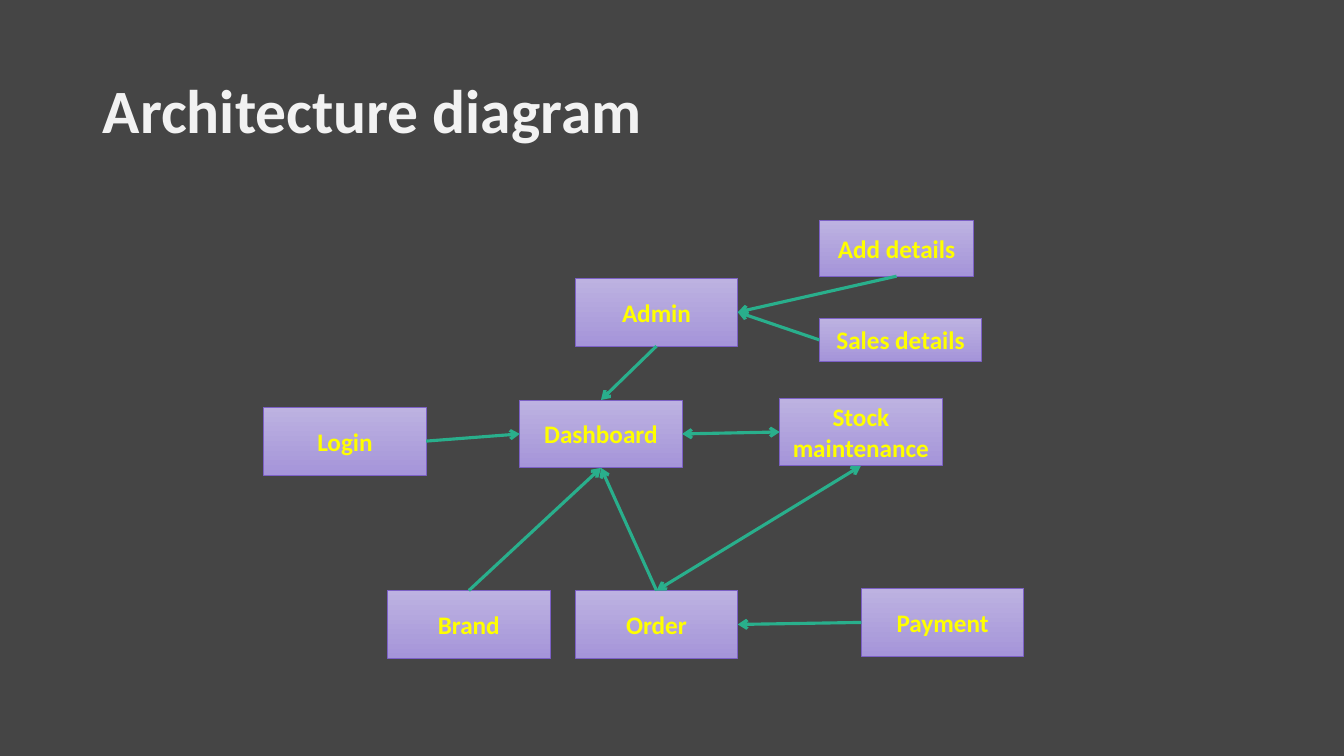
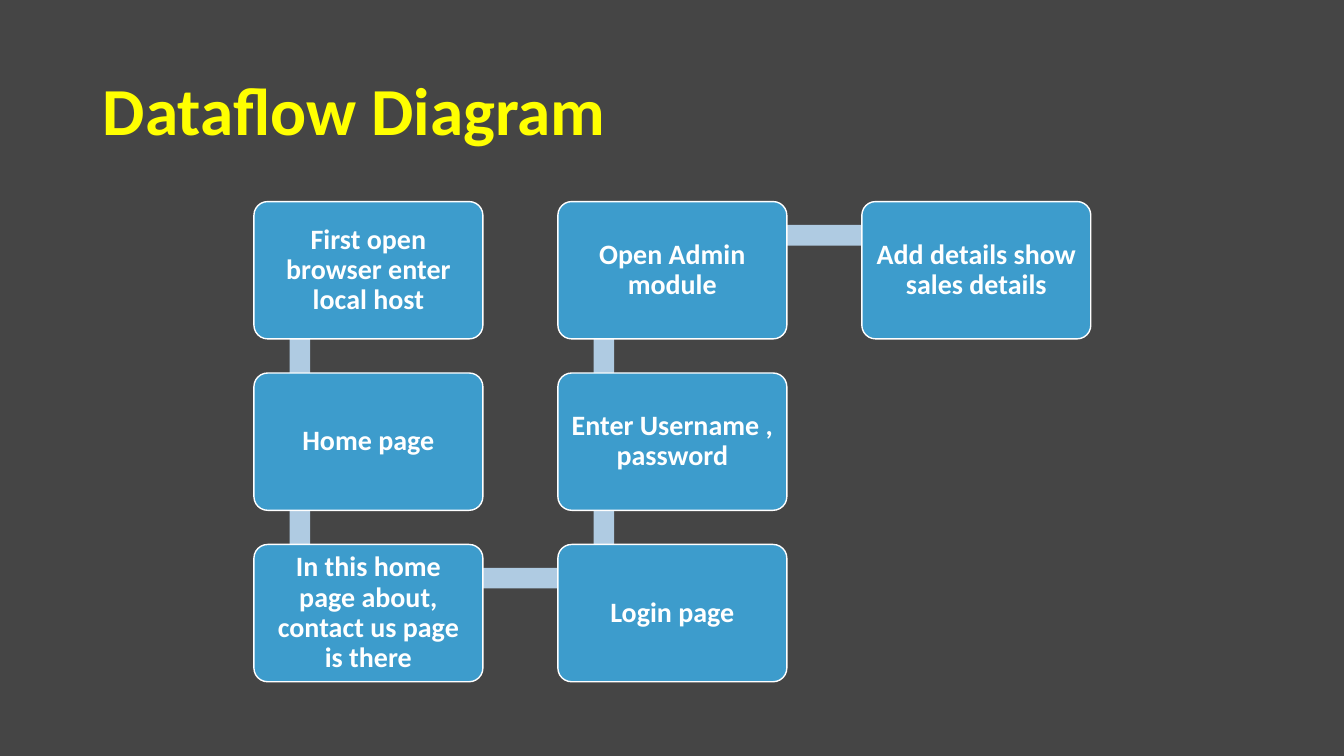
import itertools

import lxml.etree
import pptx
import pptx.dml.color
import pptx.enum.dml
import pptx.enum.shapes
import pptx.enum.text
import pptx.oxml.ns
import pptx.util

Cm = pptx.util.Cm
Pt = pptx.util.Pt
qn = pptx.oxml.ns.qn
PRESET = pptx.enum.shapes.MSO_SHAPE
ALIGN = pptx.enum.text.PP_ALIGN

FONT = "Calibri"
BACKGROUND = "454545"
YELLOW = "FFFF00"
WHITE = "FFFFFF"
OFF_WHITE = "F2F2F2"
MODULE_TOP, MODULE_BOTTOM, MODULE_EDGE = "BDB2E1", "A595D9", "7C60C6"
LINK = "29AF8C"
STEP, BAR = "3D9CCC", "AFCBE2"

TITLE_BOX = (2.34, 1.02, 29.21, 3.68)
ARCHITECTURE_BOX = (6.65, 5.56)
DATAFLOW_BOX = (6.4, 5.08)

TOP, LEFT, BOTTOM, RIGHT = range(4)
MODULE_SIZE = (4.09, 1.71)
MODULES = {
    "Login": (0, 4.7, *MODULE_SIZE),
    "Dashboard": (6.45, 4.52, *MODULE_SIZE),
    "Stock maintenance": (13, 4.47, *MODULE_SIZE),
    "Order": (7.85, 9.32, *MODULE_SIZE),
    "Payment": (15.06, 9.27, *MODULE_SIZE),
    "Brand": (3.12, 9.32, *MODULE_SIZE),
    "Admin": (7.85, 1.45, *MODULE_SIZE),
    "Add details": (14, 0, 3.89, 1.4),
    "Sales details": (14, 2.46, 4.09, 1.09),
}
ONE_WAY, BOTH_WAYS = ("tailEnd",), ("headEnd", "tailEnd")
LINKS = [
    ("Login", RIGHT, "Dashboard", LEFT, ONE_WAY),
    ("Order", TOP, "Dashboard", BOTTOM, ONE_WAY),
    ("Payment", LEFT, "Order", RIGHT, ONE_WAY),
    ("Order", TOP, "Stock maintenance", BOTTOM, BOTH_WAYS),
    ("Brand", TOP, "Dashboard", BOTTOM, ONE_WAY),
    ("Admin", BOTTOM, "Dashboard", TOP, ONE_WAY),
    ("Add details", BOTTOM, "Admin", RIGHT, ONE_WAY),
    ("Sales details", LEFT, "Admin", RIGHT, ONE_WAY),
    ("Dashboard", RIGHT, "Stock maintenance", LEFT, BOTH_WAYS),
]

STEP_SIZE = (5.77, 3.46)
STEP_PITCH = (7.66, 4.32)
BAR_ANCHOR = (1.16, 0.85)
BAR_WIDTH = 0.52
STEPS = [
    ("First open browser enter local host", 0, 0),
    ("Home page", 0, 1),
    ("In this home page about, contact us page is there", 0, 2),
    ("Login page", 1, 2),
    ("Enter Username , password", 1, 1),
    ("Open Admin module", 1, 0),
    ("Add details show sales details", 2, 0),
]


def rgb(value):
    return pptx.dml.color.RGBColor.from_string(value)


def write(shape, text, size, color, align=ALIGN.CENTER, inset=None, spacing=None):
    frame = shape.text_frame
    frame.word_wrap = True
    frame.auto_size = pptx.enum.text.MSO_AUTO_SIZE.NONE
    frame.vertical_anchor = pptx.enum.text.MSO_ANCHOR.MIDDLE
    if inset is not None:
        frame.margin_left = frame.margin_right = Cm(inset)
        frame.margin_top = frame.margin_bottom = Cm(inset)
    paragraph = frame.paragraphs[0]
    paragraph.alignment = align
    paragraph.line_spacing = spacing
    run = paragraph.add_run()
    run.text = text
    run.font.name = FONT
    run.font.size = Pt(size)
    run.font.bold = True
    run.font.color.rgb = rgb(color)


def add_box(slide, preset, left, top, width, height, fill=None, edge=None, weight=1):
    box = slide.shapes.add_shape(preset, Cm(left), Cm(top), Cm(width), Cm(height))
    box.shadow.inherit = False
    if fill:
        box.fill.solid()
        box.fill.fore_color.rgb = rgb(fill)
    if edge:
        box.line.color.rgb = rgb(edge)
        box.line.width = Pt(weight)
    else:
        box.line.fill.background()
    return box


def add_titled_slide(deck, text, size, color):
    slide = deck.slides.add_slide(deck.slide_layouts[5])
    title = slide.shapes.title
    title.left, title.top, title.width, title.height = map(Cm, TITLE_BOX)
    write(title, text, size, color, align=ALIGN.LEFT, spacing=0.9)
    return slide


def add_module(slide, text, left, top, width, height):
    module = add_box(slide, PRESET.RECTANGLE, left, top, width, height,
                     edge=MODULE_EDGE, weight=0.5)
    module.fill.gradient()
    module.fill.gradient_angle = 270
    for stop, color in zip(module.fill.gradient_stops, (MODULE_TOP, MODULE_BOTTOM)):
        stop.color.rgb = rgb(color)
    write(module, text, 18, YELLOW)
    return module


def add_link(slide, source, source_side, target, target_side, arrowheads):
    link = slide.shapes.add_connector(
        pptx.enum.shapes.MSO_CONNECTOR.STRAIGHT, 0, 0, 0, 0)
    link.begin_connect(source, source_side)
    link.end_connect(target, target_side)
    link.line.color.rgb = rgb(LINK)
    link.line.width = Pt(2.25)
    properties = link.element.spPr
    stroke = properties.find(qn("a:ln"))
    for end in arrowheads:
        lxml.etree.SubElement(stroke, qn(f"a:{end}"), type="arrow")
    lxml.etree.SubElement(properties, qn("a:effectLst"))


def draw_architecture(slide, left, top):
    modules = {
        name: add_module(slide, name, left + x, top + y, width, height)
        for name, (x, y, width, height) in MODULES.items()
    }
    for source, source_side, target, target_side, arrowheads in LINKS:
        add_link(slide, modules[source], source_side,
                 modules[target], target_side, arrowheads)


def draw_dataflow(slide, left, top):
    corners = [(left + column * STEP_PITCH[0], top + row * STEP_PITCH[1])
               for _, column, row in STEPS]
    for (x1, y1), (x2, y2) in itertools.pairwise(corners):
        bar_left = min(x1, x2) + BAR_ANCHOR[0]
        bar_top = min(y1, y2) + BAR_ANCHOR[1]
        if y1 == y2:
            bar = (bar_left, bar_top - BAR_WIDTH / 2, STEP_PITCH[0], BAR_WIDTH)
        else:
            bar = (bar_left - BAR_WIDTH / 2, bar_top, BAR_WIDTH, STEP_PITCH[1])
        add_box(slide, PRESET.RECTANGLE, *bar, fill=BAR)
    for (text, _, _), corner in zip(STEPS, corners):
        step = add_box(slide, PRESET.ROUNDED_RECTANGLE, *corner, *STEP_SIZE,
                       fill=STEP, edge=WHITE)
        step.adjustments[0] = 0.1
        write(step, text, 20, WHITE, inset=0.2, spacing=0.9)


def main():
    deck = pptx.Presentation()
    deck.slide_width, deck.slide_height = Cm(33.87), Cm(19.05)
    backdrop = deck.slide_master.background.fill
    backdrop.solid()
    backdrop.fore_color.rgb = rgb(BACKGROUND)

    architecture = add_titled_slide(deck, "Architecture diagram", 44, OFF_WHITE)
    draw_architecture(architecture, *ARCHITECTURE_BOX)
    dataflow = add_titled_slide(deck, "Dataflow Diagram", 48, YELLOW)
    draw_dataflow(dataflow, *DATAFLOW_BOX)

    deck.save("out.pptx")


if __name__ == "__main__":
    main()
